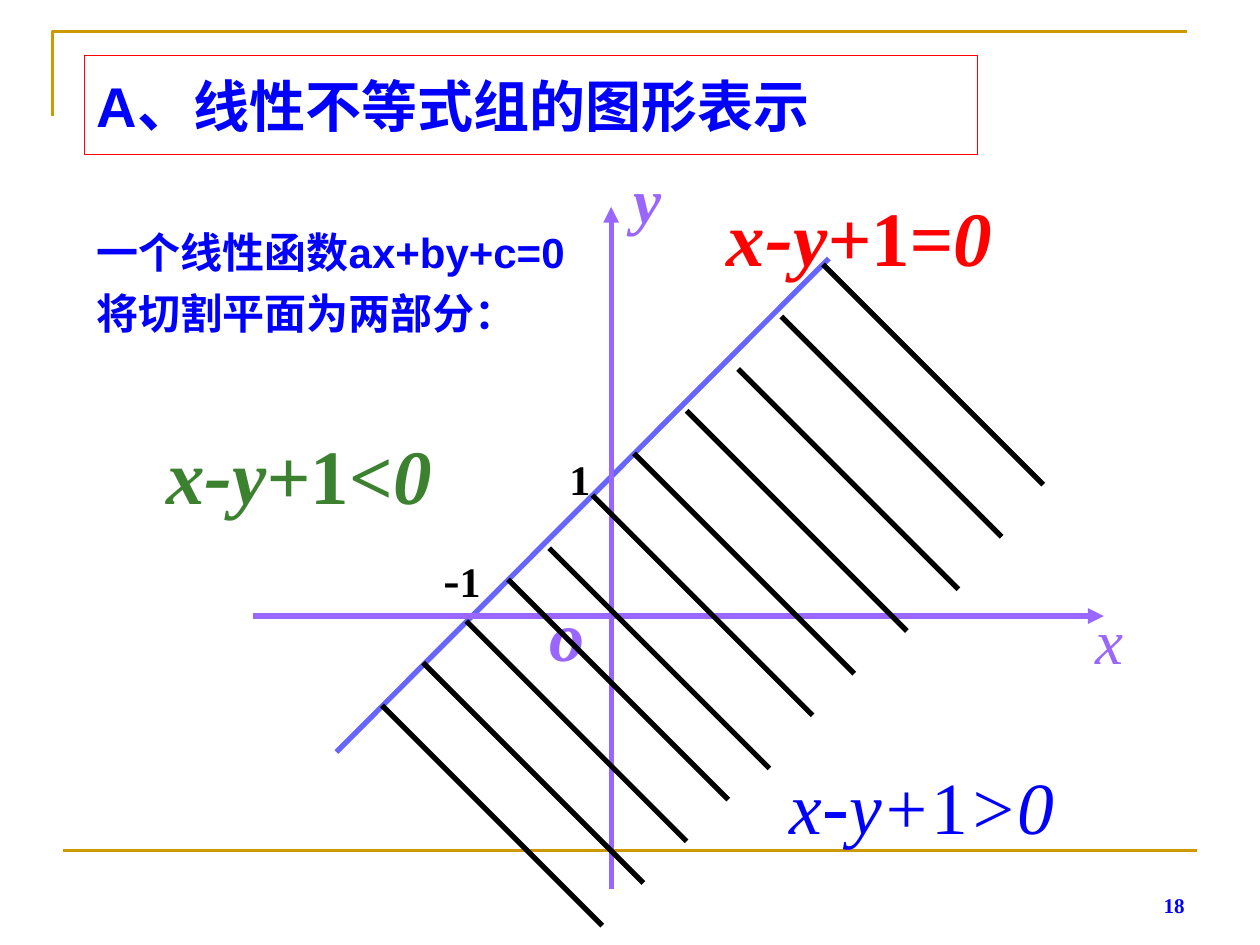
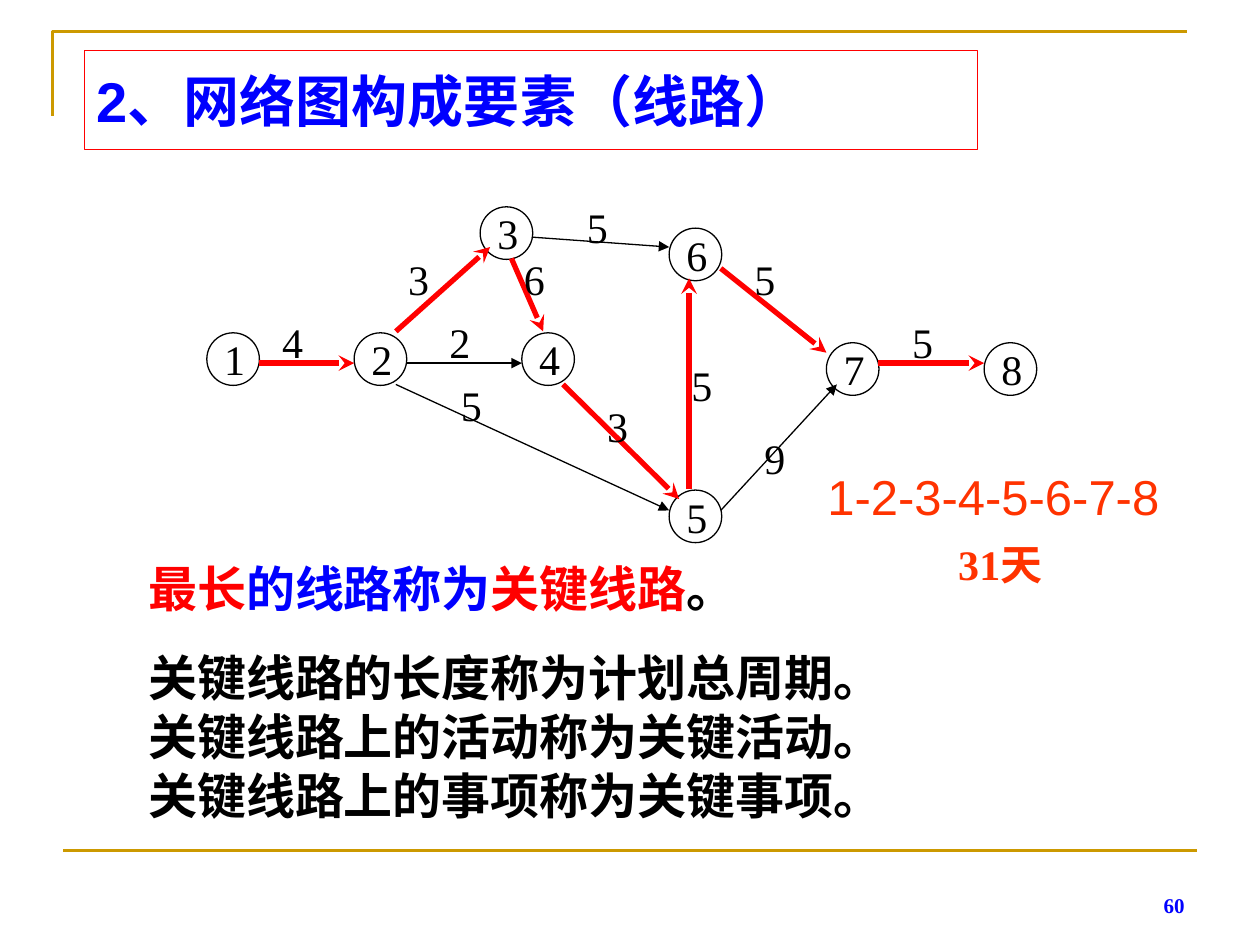
from dataclasses import dataclass
from typing import NamedTuple

from lxml import etree
from pptx import Presentation
from pptx.dml.color import RGBColor
from pptx.enum.shapes import MSO_CONNECTOR, MSO_SHAPE
from pptx.enum.text import MSO_ANCHOR, PP_ALIGN
from pptx.oxml.ns import qn
from pptx.util import Cm, Pt

STRAIGHT = MSO_CONNECTOR.STRAIGHT
RECTANGLE, OVAL = MSO_SHAPE.RECTANGLE, MSO_SHAPE.OVAL
TOP, MIDDLE, BOTTOM = MSO_ANCHOR.TOP, MSO_ANCHOR.MIDDLE, MSO_ANCHOR.BOTTOM
LEFT, CENTER, RIGHT = PP_ALIGN.LEFT, PP_ALIGN.CENTER, PP_ALIGN.RIGHT

BLACK = RGBColor(0x00, 0x00, 0x00)
WHITE = RGBColor(0xFF, 0xFF, 0xFF)
BLUE = RGBColor(0x00, 0x00, 0xFF)
RED = RGBColor(0xFF, 0x00, 0x00)
GOLD = RGBColor(0xCC, 0x99, 0x00)
PURPLE = RGBColor(0x99, 0x66, 0xFF)
PERIWINKLE = RGBColor(0x66, 0x66, 0xFF)
GREEN = RGBColor(0x3B, 0x81, 0x2F)
ORANGE = RGBColor(0xFF, 0x33, 0x00)

SANS, SERIF = "Arial", "Times New Roman"
THIN, RULE, THICK = 0.75, 1.5, 3
NODE_DIAMETER = 1.06
HATCH_REACH = 4.44


class Area(NamedTuple):
    left: float
    top: float
    width: float
    height: float


class Point(NamedTuple):
    x: float
    y: float


@dataclass(frozen=True)
class Span:
    text: str
    color: RGBColor | None = None
    size: float | None = None
    italic: bool | None = None


@dataclass(frozen=True)
class Formula:
    relation: str
    area: Area
    color: RGBColor
    size: float = 44
    bold: bool = True


@dataclass(frozen=True)
class AxisLabel:
    text: str
    area: Area
    size: float = 36
    bold: bool = True


@dataclass(frozen=True)
class Node:
    number: str
    corner: Point


@dataclass(frozen=True)
class Activity:
    start: Point
    end: Point
    days: str
    label: Point
    critical: bool = False


FORMULAS = [
    Formula(">0", Area(15.67, 15.16, 6.15, 2.11), BLUE, 42, False),
    Formula("<0", Area(3.1, 8.53, 6.15, 2.11), GREEN),
    Formula("=0", Area(14.4, 3.73, 6.15, 2.11), RED),
]

AXIS_LABELS = [
    AxisLabel("x", Area(21.84, 11.99, 1.27, 1.78), bold=False),
    AxisLabel("y", Area(12.52, 3.1, 1.27, 1.78)),
    AxisLabel("o", Area(10.82, 11.79, 1.47, 1.96), 40),
]

HATCH_STARTS = [
    Point(16.59, 5.33), Point(15.75, 6.38), Point(14.88, 7.44), Point(13.84, 8.28),
    Point(12.78, 9.14), Point(11.94, 9.98), Point(11.07, 11.05), Point(10.24, 11.68),
    Point(9.4, 12.52), Point(8.53, 13.36), Point(7.7, 14.22),
]

NODES = [
    Node("1", Point(4.17, 6.71)),
    Node("2", Point(7.14, 6.71)),
    Node("3", Point(9.68, 4.17)),
    Node("4", Point(10.52, 6.71)),
    Node("5", Point(13.49, 9.88)),
    Node("6", Point(13.49, 4.6)),
    Node("7", Point(16.66, 6.91)),
    Node("8", Point(19.84, 6.91)),
]

ACTIVITIES = [
    Activity(Point(5.23, 7.32), Point(7.14, 7.32), "4", Point(5.44, 6.25), True),
    Activity(Point(7.98, 6.68), Point(9.88, 4.98), "3", Point(7.98, 4.98), True),
    Activity(Point(10.31, 5.21), Point(10.95, 6.68), "6", Point(10.31, 4.98), True),
    Activity(Point(8.18, 7.32), Point(10.52, 7.32), "2", Point(8.81, 6.25)),
    Activity(Point(7.98, 7.75), Point(13.49, 10.29), "5", Point(9.04, 7.52)),
    Activity(Point(11.35, 7.75), Point(13.69, 10.06), "3", Point(11.99, 7.95), True),
    Activity(Point(14.53, 10.29), Point(16.87, 7.75), "9", Point(15.16, 8.59)),
    Activity(Point(10.72, 4.78), Point(13.49, 4.98), "5", Point(11.58, 3.94)),
    Activity(Point(13.89, 9.86), Point(13.89, 5.61), "5", Point(13.69, 7.11), True),
    Activity(Point(14.53, 5.41), Point(16.66, 7.11), "5", Point(14.96, 4.98), True),
    Activity(Point(17.7, 7.32), Point(19.84, 7.32), "5", Point(18.14, 6.25), True),
]


def in_cm(values) -> list[Cm]:
    return [Cm(value) for value in values]


def write(shape, lines, *, font=SERIF, size=24.0, color=BLACK, bold=False, italic=False,
          align=LEFT, anchor=TOP, line_spacing=None, space_before=(), wrap=True,
          margins=(0.25, 0.13, 0.25, 0.13)) -> None:
    frame = shape.text_frame
    frame.word_wrap = wrap
    frame.vertical_anchor = anchor
    (frame.margin_left, frame.margin_top,
     frame.margin_right, frame.margin_bottom) = in_cm(margins)
    for index, line in enumerate(lines):
        para = frame.paragraphs[0] if index == 0 else frame.add_paragraph()
        para.alignment = align
        para.line_spacing = line_spacing
        if index < len(space_before):
            para.space_before = Pt(space_before[index])
        for span in [Span(line)] if isinstance(line, str) else line:
            run = para.add_run()
            run.text = span.text
            run.font.name = font
            run.font.size = Pt(span.size or size)
            run.font.bold = bold
            run.font.italic = italic if span.italic is None else span.italic
            run.font.color.rgb = span.color or color


def add_text(page, area: Area, lines, **style) -> None:
    write(page.shapes.add_textbox(*in_cm(area)), lines, **style)


def add_outlined(page, kind, area: Area, color: RGBColor, fill: RGBColor | None = None):
    shape = page.shapes.add_shape(kind, *in_cm(area))
    shape.shadow.inherit = False
    if fill is None:
        shape.fill.background()
    else:
        shape.fill.solid()
        shape.fill.fore_color.rgb = fill
    shape.line.color.rgb = color
    shape.line.width = Pt(THIN)
    return shape


def add_line(page, start: Point, end: Point, color: RGBColor, width: float,
             arrow: str | None = None) -> None:
    connector = page.shapes.add_connector(STRAIGHT, *in_cm(start + end))
    connector.line.color.rgb = color
    connector.line.width = Pt(width)
    properties = connector._element.spPr
    if arrow:
        etree.SubElement(properties.find(qn("a:ln")), qn("a:tailEnd"), type=arrow)
    etree.SubElement(properties, qn("a:effectLst"))


def add_page(deck):
    page = deck.slides.add_slide(deck.slide_layouts[6])
    builder = page.shapes.build_freeform(Cm(1.06), Cm(2.33))
    builder.add_line_segments(
        [(Cm(1.06), Cm(0.64)), (Cm(23.92), Cm(0.64))], close=False)
    corner = builder.convert_to_shape()
    corner.shadow.inherit = False
    corner.fill.background()
    corner.line.color.rgb = GOLD
    corner.line.width = Pt(RULE)
    add_line(page, Point(1.27, 17.15), Point(24.13, 17.15), GOLD, RULE)
    return page


def add_title_and_number(page, title: str, top: float, number: str) -> None:
    frame = add_outlined(page, RECTANGLE, Area(1.7, top, 18, 2), RED)
    write(frame, [title], font=SANS, size=32, color=BLUE, bold=True, anchor=MIDDLE)
    add_text(page, Area(18.2, 17.36, 5.93, 1.27), [number], size=12, color=BLUE,
             bold=True, align=RIGHT, anchor=BOTTOM)


def add_formula(page, formula: Formula) -> None:
    spans = [Span("x"), Span("-", size=formula.size + 4), Span("y+"),
             Span("1", italic=False), Span(formula.relation)]
    add_text(page, formula.area, [spans], size=formula.size, color=formula.color,
             bold=formula.bold, italic=True, anchor=BOTTOM)


def add_node(page, node: Node) -> None:
    area = Area(*node.corner, NODE_DIAMETER, NODE_DIAMETER)
    circle = add_outlined(page, OVAL, area, BLACK, WHITE)
    write(circle, [node.number], align=CENTER, anchor=MIDDLE, wrap=False,
          margins=(0.06, 0, 0, 0))


def add_activity(page, activity: Activity) -> None:
    color, width, arrow = (
        (RED, THICK, "stealth") if activity.critical else (BLACK, THIN, "triangle"))
    add_line(page, activity.start, activity.end, color, width, arrow)
    add_text(page, Area(*activity.label, 1.07, 1.27), [activity.days])


def build_inequality_page(deck) -> None:
    page = add_page(deck)
    add_text(page, Area(1.7, 4.24, 10.41, 2.69),
             ["一个线性函数ax+by+c=0", "将切割平面为两部分："],
             font=SANS, color=BLUE, bold=True, line_spacing=1.2)
    add_line(page, Point(6.78, 15.16), Point(16.71, 5.21), PERIWINKLE, THICK)
    add_text(page, Area(11.23, 9.02, 1.07, 1.27), ["1"], bold=True)
    add_text(page, Area(8.69, 10.92, 1.3, 1.45), [[Span("-", size=28), Span("1")]],
             bold=True)
    for formula in FORMULAS:
        add_formula(page, formula)
    add_line(page, Point(12.32, 17.93), Point(12.32, 4.17), PURPLE, THICK, "triangle")
    add_line(page, Point(5.11, 12.42), Point(22.25, 12.42), PURPLE, THICK, "triangle")
    for label in AXIS_LABELS:
        add_text(page, label.area, [label.text], size=label.size, color=PURPLE,
                 bold=label.bold, italic=True)
    for start in HATCH_STARTS:
        end = Point(start.x + HATCH_REACH, start.y + HATCH_REACH)
        add_line(page, start, end, BLACK, THICK)
    add_title_and_number(page, "A、线性不等式组的图形表示", 1.12, "18")


def build_network_page(deck) -> None:
    page = add_page(deck)
    for node in NODES:
        add_node(page, node)
    for activity in ACTIVITIES:
        add_activity(page, activity)
    definition = [Span("最长", RED), Span("的线路称为", BLUE), Span("关键线路", RED),
                  Span("。")]
    add_text(page, Area(2.74, 11.13, 18.34, 5.61),
             [definition, "关键线路的长度称为计划总周期。",
              "关键线路上的活动称为关键活动。", "关键线路上的事项称为关键事项。"],
             font=SANS, size=28, bold=True, space_before=(0, 17.5))
    add_text(page, Area(16.43, 9.27, 7.47, 1.45), ["1-2-3-4-5-6-7-8"],
             font=SANS, size=28, color=ORANGE)
    add_text(page, Area(19.02, 10.72, 2.29, 2.29), ["31天"], color=ORANGE,
             bold=True, align=CENTER)
    add_title_and_number(page, "2、网络图构成要素（线路）", 1.02, "60")


def main() -> None:
    deck = Presentation()
    deck.slide_width, deck.slide_height = Cm(25.4), Cm(19.05)
    build_inequality_page(deck)
    build_network_page(deck)
    deck.save("out.pptx")


if __name__ == "__main__":
    main()
